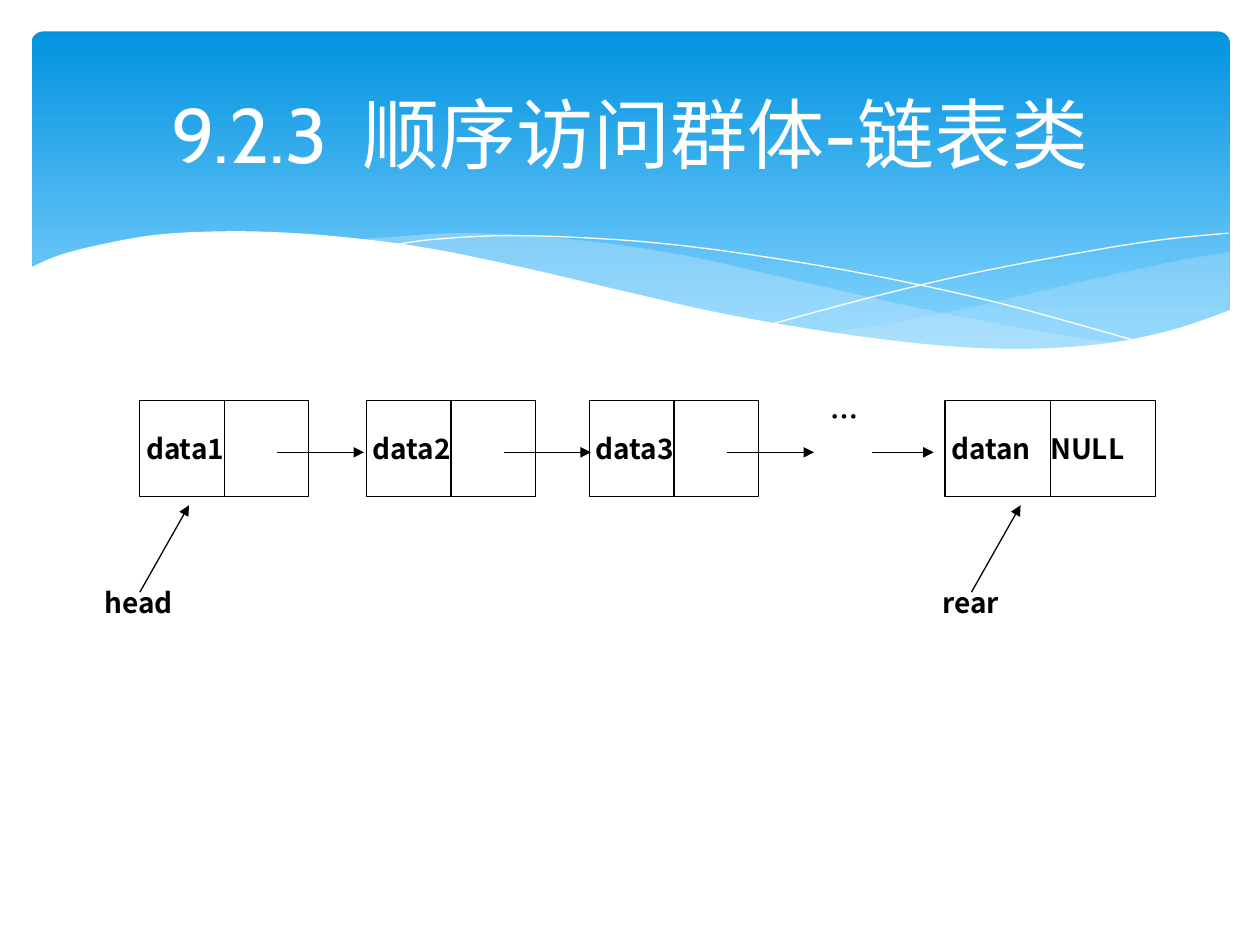
from lxml import etree
from pptx import Presentation
from pptx.dml.color import RGBColor
from pptx.enum.shapes import MSO_CONNECTOR, MSO_SHAPE
from pptx.enum.text import MSO_ANCHOR, PP_ALIGN
from pptx.oxml.ns import qn
from pptx.util import Inches, Pt

RECT, ROUND = MSO_SHAPE.RECTANGLE, MSO_SHAPE.ROUNDED_RECTANGLE
LEFT, CENTER = PP_ALIGN.LEFT, PP_ALIGN.CENTER
TOP, MIDDLE = MSO_ANCHOR.TOP, MSO_ANCHOR.MIDDLE
STRAIGHT = MSO_CONNECTOR.STRAIGHT

SANS = "Noto Sans CJK SC"
BLACK, WHITE, PALE = "000000", "FFFFFF", "C6E7FC"
TITLE = {"size": Pt(44), "name": "Cabin", "bold": False}
LABEL = {"size": Pt(16), "name": SANS, "bold": True}
ROW, HIGH, NODE = 3.18, 0.76, 1.34
PAD = 0.05

RIGHT_WAVE = [(9.76, 2), (9.35, 2.07), (8.61, 2.23), (7.79, 2.42), (7.06, 2.57),
              (6.61, 2.65), (7.19, 2.72), (7.69, 2.77), (8.14, 2.78),
              (8.63, 2.75), (9.05, 2.69), (9.42, 2.59), (9.76, 2.47)]
MAIN_WAVE = [(8.93, 2.73), (8.37, 2.65), (7.41, 2.47), (6.29, 2.22), (5.55, 2.05),
             (4.89, 1.94), (4.2, 1.87), (3.61, 1.85), (3.13, 1.88), (2.86, 1.91),
             (3.42, 1.99), (4.04, 2.11), (4.91, 2.32), (5.66, 2.48), (6.5, 2.64),
             (7.22, 2.74), (7.85, 2.78), (8.38, 2.78), (8.93, 2.73)]
DOWN_CURVE = [(3.09, 1.95), (3.44, 1.9), (4.01, 1.87), (4.69, 1.89), (5.33, 1.94),
              (6.08, 2.04), (6.95, 2.19), (7.95, 2.41), (9.07, 2.72)]
UP_CURVE = [(6.13, 2.57), (6.95, 2.35), (7.76, 2.16), (8.66, 1.99), (9.24, 1.9),
            (9.75, 1.85)]
WHITE_EDGE = [(9.77, 2.46), (9.3, 2.62), (8.75, 2.73), (8.09, 2.77), (7.44, 2.74),
              (6.68, 2.65), (5.79, 2.5), (5.03, 2.33), (4.18, 2.13), (3.4, 1.97),
              (2.71, 1.88), (2.11, 1.84), (1.61, 1.84), (1.19, 1.87), (0.76, 1.95),
              (0.46, 2.03), (0.23, 2.13)]


def rgb(code):
    """Turn a hex string into a colour."""
    return RGBColor.from_string(code)


def assign(item, values):
    """Set each named value on an object."""
    for name, value in values.items():
        setattr(item, name, value)


def spline(knots, steps=6):
    """Return points on a smooth curve through the knots."""
    ends = [knots[0], *knots, knots[-1]]
    points = [knots[0]]
    for a, b, c, d in zip(ends, ends[1:], ends[2:], ends[3:]):
        for step in range(1, steps + 1):
            t = step / steps
            points.append(tuple(
                q + t * ((r - p) + t * ((2 * p - 5 * q + 4 * r - s)
                                        + t * (3 * q - p - 3 * r + s))) / 2
                for p, q, r, s in zip(a, b, c, d)))
    return points


def trace(slide, points, fill=None, alpha=100, line=None):
    """Draw a filled outline or an open hairline."""
    dots = [(Inches(x), Inches(y)) for x, y in points]
    pen = slide.shapes.build_freeform(*dots[0], scale=1.0)
    pen.add_line_segments(dots[1:], close=fill is not None)
    shape = pen.convert_to_shape()
    paint(shape, fill, line, 0)
    if alpha < 100:
        tint = shape.fill._xPr.find(".//" + qn("a:srgbClr"))
        etree.SubElement(tint, qn("a:alpha")).set("val", str(alpha * 1000))


def paint(shape, fill=None, line=None, width=0.75):
    """Set the fill and line of a shape and drop its shadow."""
    shape.shadow.inherit = False
    for part, color in ((shape.fill, fill), (shape.line.fill, line)):
        if color:
            part.solid()
            part.fore_color.rgb = rgb(color)
        else:
            part.background()
    if line:
        shape.line.width = Pt(width)


def banner(slide):
    """Draw the blue gradient panel with its waves."""
    panel = slide.shapes.add_shape(ROUND, *map(Inches, (0.25, 0.25, 9.51, 2.7)))
    panel.adjustments[0] = 0.034
    paint(panel)
    panel.fill.gradient()
    panel.fill.gradient_angle = 270
    stops = ((0, "0293E0"), (0.9, "83D3FE"))
    for stop, (place, color) in zip(panel.fill.gradient_stops, stops):
        stop.position = place
        stop.color.rgb = rgb(color)
    trace(slide, spline(RIGHT_WAVE), PALE, 29)
    trace(slide, spline(MAIN_WAVE), PALE, 40)
    for knots in (DOWN_CURVE, UP_CURVE):
        trace(slide, spline(knots), line=WHITE)
    trace(slide, spline(WHITE_EDGE) + [(0.23, 3.29), (9.77, 3.29)], WHITE)


def write(shape, text, style, color=BLACK, align=LEFT, anchor=TOP, pads=(0, 0)):
    """Put one styled paragraph into a shape."""
    side, edge = map(Inches, pads)
    frame = shape.text_frame
    assign(frame, {"word_wrap": True, "vertical_anchor": anchor,
                   "margin_left": side, "margin_right": 0 if edge == 0 else side,
                   "margin_top": edge, "margin_bottom": edge})
    para = frame.paragraphs[0]
    para.alignment = align
    run = para.add_run()
    run.text = text
    assign(run.font, style)
    run.font.color.rgb = rgb(color)
    etree.SubElement(run.font._element, qn("a:ea")).set("typeface", SANS)
    return para


def label(slide, box, text, style=LABEL, **look):
    """Add a text box."""
    write(slide.shapes.add_textbox(*map(Inches, box)), text, style, **look)


def link(slide, start, end, arrow=True):
    """Draw a thin black line, with an arrowhead by default."""
    wire = slide.shapes.add_connector(STRAIGHT, *map(Inches, (*start, *end)))
    wire.line.width = Pt(0.75)
    wire.line.color.rgb = rgb(BLACK)
    if arrow:
        etree.SubElement(wire.line._get_or_add_ln(), qn("a:tailEnd")).set("type", "triangle")
    etree.SubElement(wire._element.spPr, qn("a:effectLst"))


def node(slide, left, width, text):
    """Draw a list node split into two halves."""
    box = slide.shapes.add_shape(RECT, *map(Inches, (left, ROW, width, HIGH)))
    paint(box, line=BLACK)
    para = write(box, text, LABEL, anchor=MIDDLE, pads=(PAD, 0))
    tabs = etree.SubElement(para._p.get_or_add_pPr(), qn("a:tabLst"))
    tab = etree.SubElement(tabs, qn("a:tab"))
    tab.set("pos", str(Inches(width / 2 - PAD)))
    tab.set("algn", "l")
    mid = left + width / 2
    link(slide, (mid, ROW), (mid, ROW + HIGH), arrow=False)


def main():
    """Build the slide and save it."""
    deck = Presentation()
    assign(deck, {"slide_width": Inches(10), "slide_height": Inches(7.5)})
    slide = deck.slides.add_slide(deck.slide_layouts[6])
    banner(slide)
    label(slide, (0.5, 0.37, 9, 1.37), "9.2.3  顺序访问群体-链表类", TITLE,
          color=WHITE, align=CENTER, anchor=MIDDLE, pads=(0.1, 0.05))
    for count, left in enumerate((1.11, 2.91, 4.68), 1):
        node(slide, left, NODE, f"data{count}")
        link(slide, (left + 1.09, 3.59), (left + 1.78, 3.59))
    node(slide, 7.5, 1.67, "datan\tNULL")
    label(slide, (6.33, 3.12, 0.74, 0.82), "…", align=CENTER, pads=(0.1, 0.05))
    link(slide, (6.92, 3.59), (7.41, 3.59))
    for text, left, foot in (("head", 0.83, 1.11), ("rear", 7.48, 7.71)):
        label(slide, (left, 4.65, 0.88, 0.6), text)
        link(slide, (foot, 4.7), (foot + 0.39, 4.01))
    deck.save("out.pptx")


if __name__ == "__main__":
    main()
